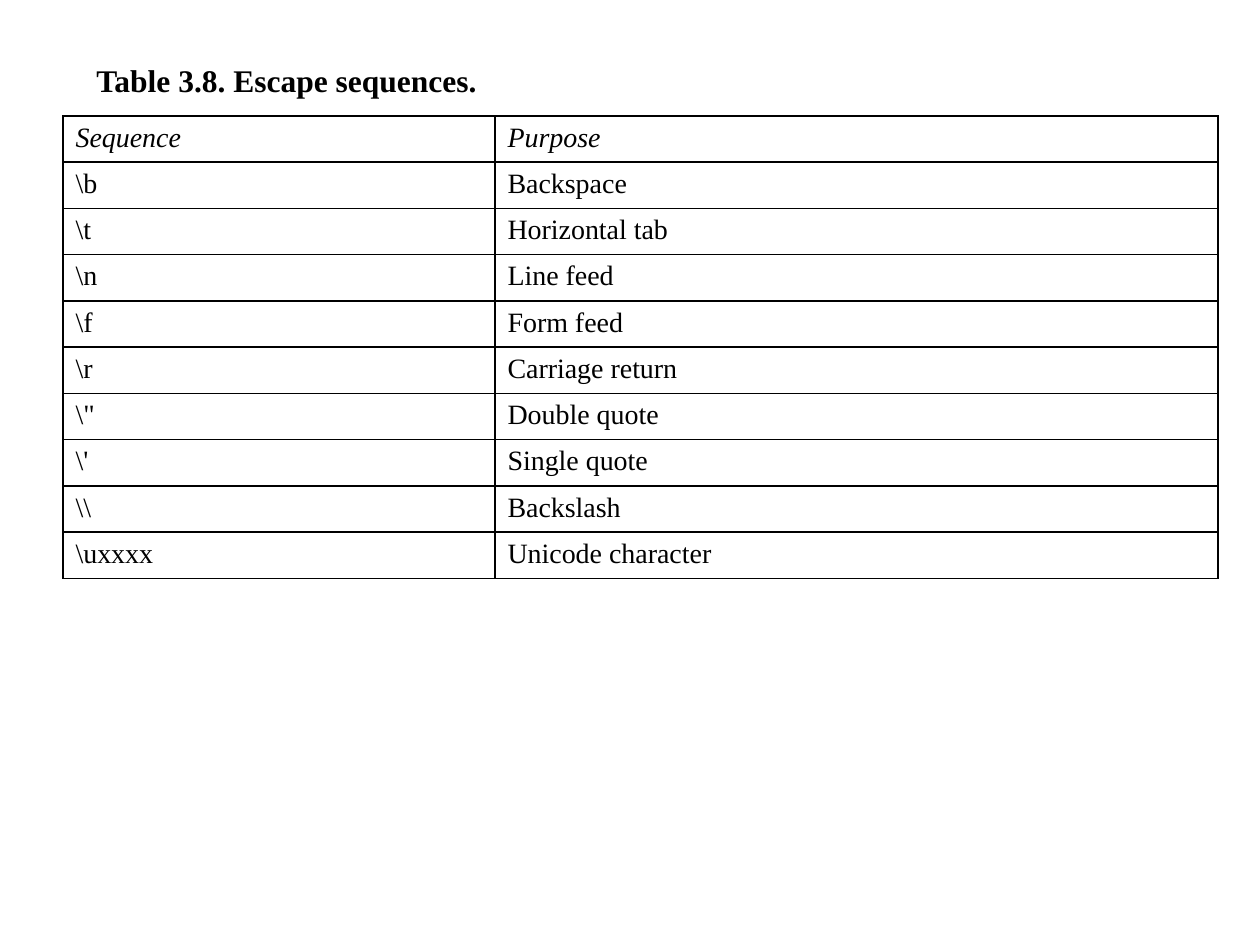
from lxml import etree
from pptx import Presentation
from pptx import util as u
from pptx.dml.color import RGBColor
from pptx.enum import text
from pptx.oxml.ns import qn

PX = 914400 // 126
FONT = "Times New Roman"
BLACK = "000000"
COLUMN_WIDTHS = (432, 723)
ESCAPES = [
    ("Sequence", "Purpose"),
    (r"\b", "Backspace"),
    (r"\t", "Horizontal tab"),
    (r"\n", "Line feed"),
    (r"\f", "Form feed"),
    (r"\r", "Carriage return"),
    (r"\"", "Double quote"),
    (r"\'", "Single quote"),
    (r"\\", "Backslash"),
    (r"\uxxxx", "Unicode character"),
]


def px(*lengths):
    return [u.Emu(length * PX) for length in lengths]


def color(hex_code):
    return RGBColor.from_string(hex_code)


def write(frame, words, size, bold=False, italic=False):
    frame.text = words
    font = frame.paragraphs[0].runs[0].font
    font.name, font.size = FONT, u.Pt(size)
    font.bold, font.italic = bold, italic
    font.color.rgb = color(BLACK)


def add_title(slide, words):
    frame = slide.shapes.add_textbox(*px(84, 55, 408, 49)).text_frame
    frame.word_wrap = False
    frame.vertical_anchor = text.MSO_ANCHOR.TOP
    write(frame, words, 18, bold=True)


def add_borders(cell):
    # Borders must come before the fill in the cell properties
    properties = cell._tc.get_or_add_tcPr()
    for side in ("a:lnL", "a:lnR", "a:lnT", "a:lnB"):
        line = etree.SubElement(properties, qn(side), w=str(u.Pt(1)))
        fill = etree.SubElement(line, qn("a:solidFill"))
        etree.SubElement(fill, qn("a:srgbClr"), val=BLACK)


def add_escape_table(slide, rows):
    table = slide.shapes.add_table(
        len(rows), len(COLUMN_WIDTHS),
        *px(63, 116, sum(COLUMN_WIDTHS), 462)).table
    table.horz_banding = False
    table.first_row = False
    for column, width in zip(table.columns, px(*COLUMN_WIDTHS)):
        column.width = width
    for r, row in enumerate(rows):
        for c, words in enumerate(row):
            cell = table.cell(r, c)
            add_borders(cell)
            cell.fill.background()
            write(cell.text_frame, words, 16, italic=r == 0)


def main():
    presentation = Presentation()
    presentation.slide_width, presentation.slide_height = px(1260, 945)
    slide = presentation.slides.add_slide(presentation.slide_layouts[6])
    add_title(slide, "Table 3.8. Escape sequences.")
    add_escape_table(slide, ESCAPES)
    presentation.save("out.pptx")


if __name__ == "__main__":
    main()
